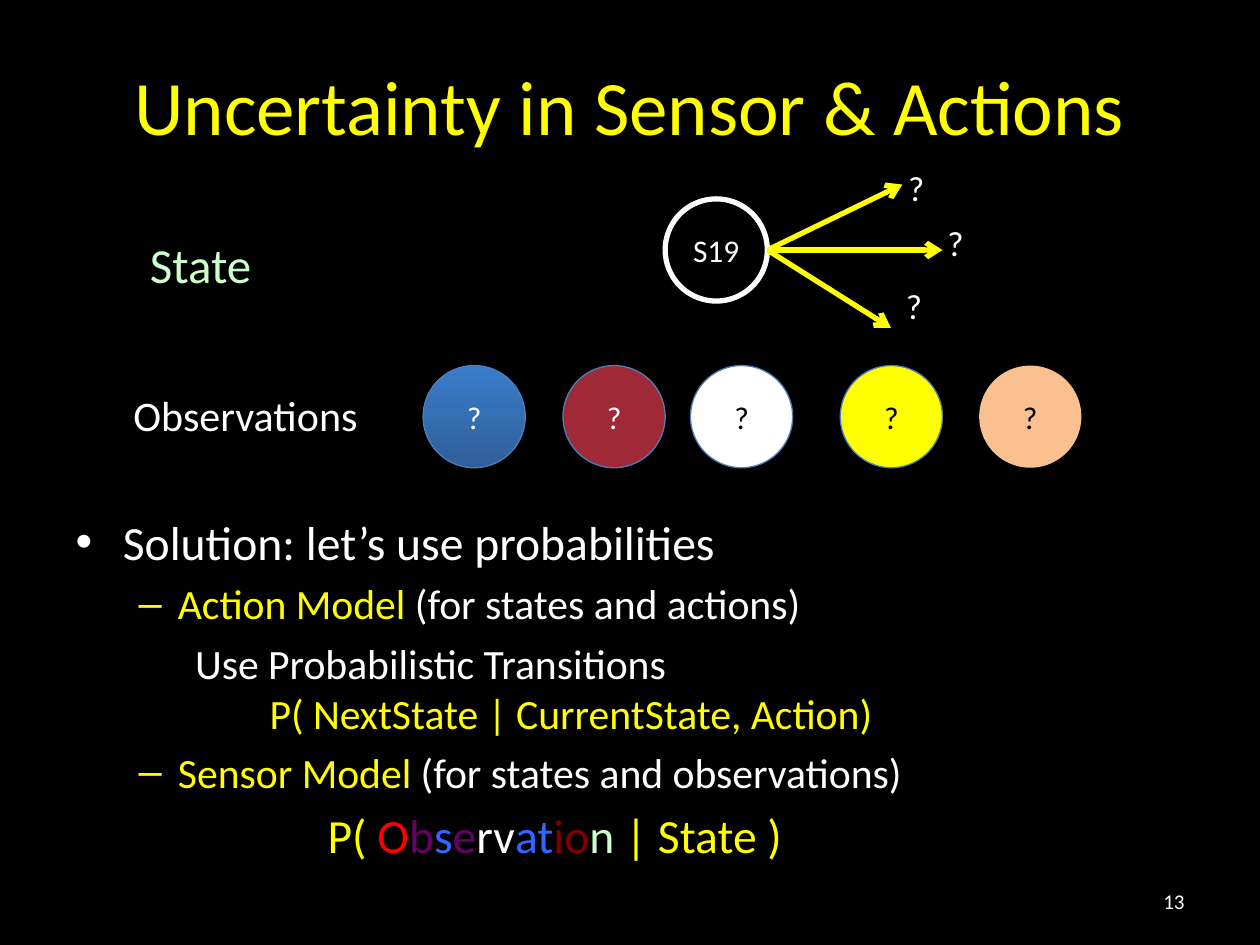
from lxml import etree
from pptx import Presentation
from pptx.dml.color import RGBColor
from pptx.enum.shapes import MSO_CONNECTOR, MSO_SHAPE
from pptx.enum.text import MSO_ANCHOR, MSO_AUTO_SIZE, PP_ALIGN
from pptx.oxml.ns import qn
from pptx.util import Cm, Pt

OVAL, STRAIGHT = MSO_SHAPE.OVAL, MSO_CONNECTOR.STRAIGHT
CENTER, RIGHT, MIDDLE = PP_ALIGN.CENTER, PP_ALIGN.RIGHT, MSO_ANCHOR.MIDDLE
NO_FIT = MSO_AUTO_SIZE.NONE
FONT = "Calibri"
DIAMETER = 2.06
COLORS = {
    "black": "000000", "white": "FFFFFF", "yellow": "FFFF00", "mint": "CCFFCC",
    "red": "FF0000", "purple": "660066", "blue": "3366FF", "maroon": "800000",
    "crimson": "9F2936", "peach": "FAC090", "outline": "4B7EBC",
    "sky": "3A7CCB", "navy": "2F5F99",
}


def rgb(name):
    return RGBColor.from_string(COLORS[name])


def place(sp, x, y, w, h):
    box = {"left": x, "top": y, "width": w, "height": h}
    for name, value in box.items():
        setattr(sp, name, Cm(value))


def add_run(p, text, size, color):
    r = p.add_run()
    r.text = text
    for name, value in {"name": FONT, "size": Pt(size)}.items():
        setattr(r.font, name, value)
    r.font.color.rgb = rgb(color)


def add_label(s, text, x, y, w, h, size, color="white", **formats):
    tf = s.shapes.add_textbox(Cm(x), Cm(y), Cm(w), Cm(h)).text_frame
    tf.word_wrap = False
    p = tf.paragraphs[0]
    for name, value in formats.items():
        setattr(p, name, value)
    add_run(p, text, size, color)
    return tf


def add_circle(s, text, x, y, color, fill=None, line=None, width=0.75):
    sp = s.shapes.add_shape(OVAL, Cm(x), Cm(y), Cm(DIAMETER), Cm(DIAMETER))
    sp.shadow.inherit = False
    if fill is None:
        sp.fill.background()
    elif isinstance(fill, tuple):
        sp.fill.gradient()
        sp.fill.gradient_angle = 90
        for stop, name in zip(sp.fill.gradient_stops, fill):
            stop.color.rgb = rgb(name)
    else:
        sp.fill.solid()
        sp.fill.fore_color.rgb = rgb(fill)
    if line:
        sp.line.color.rgb = rgb(line)
        sp.line.width = Pt(width)
    else:
        sp.line.fill.background()
    tf = sp.text_frame
    formats = {"margin_left": 0, "margin_right": 0, "word_wrap": False,
               "vertical_anchor": MIDDLE}
    for name, value in formats.items():
        setattr(tf, name, value)
    tf.paragraphs[0].alignment = CENTER
    add_run(tf.paragraphs[0], text, 18, color)


def add_arrow(s, x1, y1, x2, y2):
    cxn = s.shapes.add_connector(STRAIGHT, Cm(x1), Cm(y1), Cm(x2), Cm(y2))
    cxn.line.color.rgb = rgb("yellow")
    cxn.line.width = Pt(3)
    etree.SubElement(cxn.line._get_or_add_ln(), qn("a:tailEnd"), type="arrow")
    etree.SubElement(cxn._element.spPr, qn("a:effectLst"))


def add_title(s, x, y, w, h):
    sp = s.shapes.title
    place(sp, x, y, w, h)
    tf = sp.text_frame
    tf.auto_size = NO_FIT
    tf.vertical_anchor = MIDDLE
    tf.paragraphs[0].alignment = CENTER
    add_run(tf.paragraphs[0], "Uncertainty in Sensor & Actions", 44, "yellow")


def add_state_row(s, x, y):
    add_label(s, "State", x, y + 1.37, 2.62, 1.45, 28, "mint")
    circle_x, circle_y = x + 10.64, y + 0.78
    add_circle(s, "S19", circle_x, circle_y, "white", line="white", width=3)
    start_x, start_y = circle_x + DIAMETER, circle_y + DIAMETER / 2
    outcomes = [
        (3.53, 0, 3.38, -0.69),
        (2.49, 1.57, 2.54, 0.58),
        (2.72, -1.32, 2.59, -1.81),
    ]
    for dx, dy, label_dx, label_dy in outcomes:
        add_arrow(s, start_x, start_y, start_x + dx, start_y + dy)
        add_label(s, "?", start_x + label_dx, start_y + label_dy, 0.84, 1.12, 20)


def add_observation_row(s, x, y):
    add_label(s, "Observations", x, y + 0.35, 5.08, 1.27, 24)
    circles = [
        (6.09, ("navy", "sky"), "outline", "white"),
        (8.91, "crimson", "outline", "white"),
        (11.48, "white", "outline", "black"),
        (14.5, "yellow", "outline", "black"),
        (17.3, "peach", None, "black"),
    ]
    for dx, fill, line, color in circles:
        add_circle(s, "?", x + dx, y, color, fill, line)


def add_solution(s, x, y, w, h):
    sp = s.placeholders[1]
    place(sp, x, y, w, h)
    tf = sp.text_frame
    tf.auto_size = NO_FIT
    observation = [
        ("P( ", "yellow"), ("O", "red"), ("b", "purple"), ("s", "blue"),
        ("e", "purple"), ("rv", "white"), ("at", "blue"), ("io", "maroon"),
        ("n ", "mint"), ("| State )", "yellow"),
    ]
    paragraphs = [
        (0, 27.2, None, [("Solution: let’s use probabilities", "white")]),
        (1, 23.8, None, [("Action Model ", "yellow"),
                         ("(for states and actions)", "white")]),
        (1, 23.8, (3.91, -1.5), [
            ("Use Probabilistic Transitions", "white"), None,
            ("P( NextState | CurrentState, Action)", "yellow")]),
        (1, 23.8, None, [("Sensor Model ", "yellow"),
                         ("(for states and observations)", "white")]),
        (0, 27.2, (5.08, 0), observation),
    ]
    for i, (level, size, indent, runs) in enumerate(paragraphs):
        p = tf.add_paragraph() if i else tf.paragraphs[0]
        p.level = level
        if i == 0:
            p.space_before = Pt(0)
        if indent:
            pPr = p._p.get_or_add_pPr()
            for name, value in zip(("marL", "indent"), indent):
                pPr.set(name, str(Cm(value)))
            etree.SubElement(pPr, qn("a:buNone"))
        for run in runs:
            if run is None:
                p.add_line_break()
            else:
                add_run(p, run[0], size, run[1])


def add_page_number(s, x, y, w, h):
    tf = add_label(s, "13", x, y, w, h, 12, alignment=RIGHT)
    tf.word_wrap = True
    tf.vertical_anchor = MIDDLE


def main():
    prs = Presentation()
    prs.slide_width, prs.slide_height = Cm(25.4), Cm(19.05)
    s = prs.slides.add_slide(prs.slide_layouts[1])
    s.background.fill.solid()
    s.background.fill.fore_color.rgb = rgb("black")
    add_title(s, 0, 0.53, 25.4, 3.18)
    add_solution(s, 1.27, 10.21, 22.86, 6.81)
    add_page_number(s, 18.21, 17.65, 5.92, 1.02)
    add_state_row(s, 2.77, 3.23)
    add_observation_row(s, 2.44, 7.37)
    prs.save("out.pptx")


if __name__ == "__main__":
    main()
